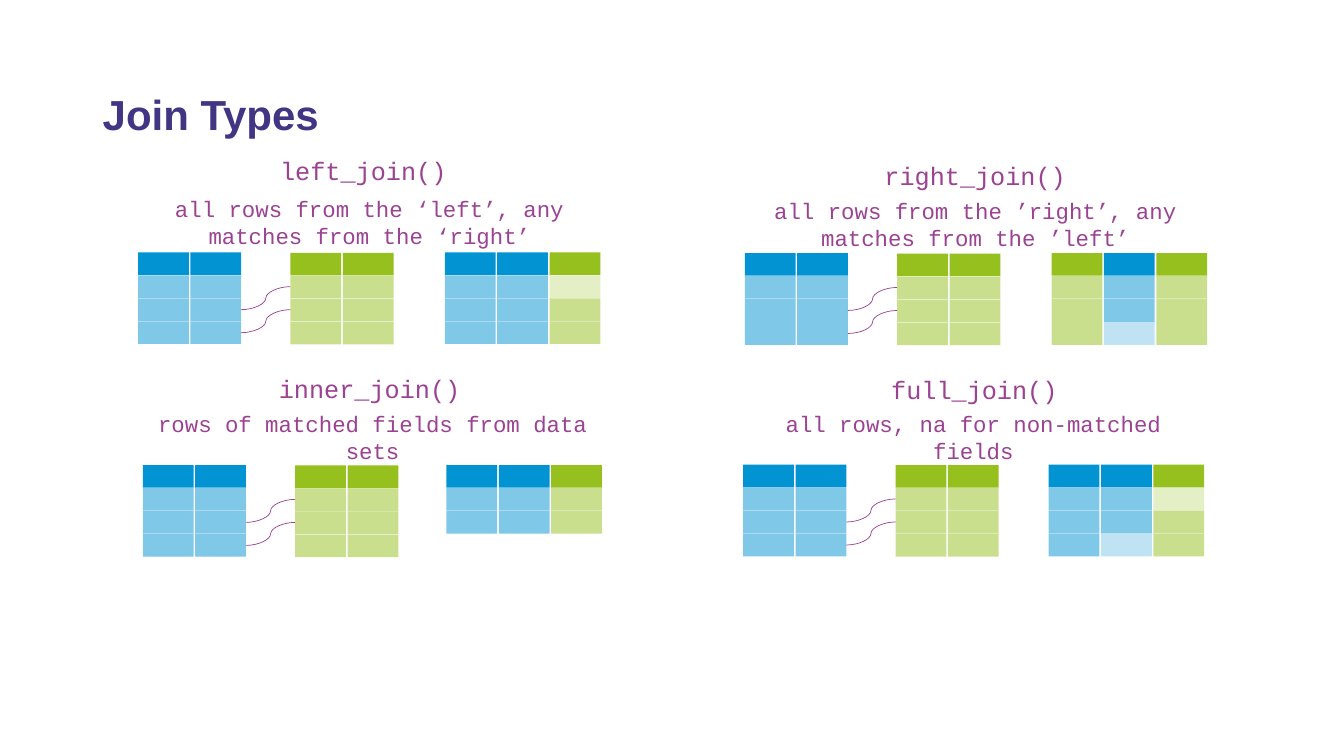
"""Builds a slide that compares four kinds of table join."""
import lxml.etree
import pptx
import pptx.dml.color
import pptx.enum.shapes
import pptx.enum.text
import pptx.oxml.ns
import pptx.util

Cm = pptx.util.Cm
Pt = pptx.util.Pt
qn = pptx.oxml.ns.qn
PP_ALIGN = pptx.enum.text.PP_ALIGN

PURPLE = pptx.dml.color.RGBColor(0x42, 0x35, 0x83)
PLUM = pptx.dml.color.RGBColor(0x9B, 0x43, 0x92)
BLUE = pptx.dml.color.RGBColor(0x02, 0x93, 0xD3)
GREEN = pptx.dml.color.RGBColor(0x95, 0xC0, 0x1D)

CELL_WIDTH, CELL_HEIGHT = 1.28, 0.57
COLUMN_STEP, ROW_STEP = 1.32, 0.58
RIGHT_TABLE_OFFSET = 3.84

MATCHED = (100, 50, 50, 50)
FIRST_MISSING = (100, 25, 50, 50)
LAST_MISSING = (100, 50, 50, 25)
INNER = (100, 50, 50)

TITLE_FORMAT = {"size": Pt(30), "name": "Arial", "bold": True}
FUNCTION_FORMAT = {"size": Pt(18), "name": "Courier New"}
DESCRIPTION_FORMAT = {"size": Pt(16), "name": "Courier New"}
FRAME_FORMAT = {
    "word_wrap": True,
    "vertical_anchor": pptx.enum.text.MSO_ANCHOR.MIDDLE,
}

JOINS = [
    {
        "function": "left_join()",
        "function_at": (6.27, 3.78),
        "description": "all rows from the ‘left’, any matches from the ‘right’",
        "description_at": (3.53, 4.78),
        "tables_at": (3.48, 6.36),
        "result_offset": 7.73,
        "result": [(BLUE, MATCHED), (BLUE, MATCHED), (GREEN, FIRST_MISSING)],
    },
    {
        "function": "right_join()",
        "function_at": (21.69, 3.91),
        "description": "all rows from the ’right’, any matches from the ’left’",
        "description_at": (18.8, 4.83),
        "tables_at": (18.77, 6.38),
        "result_offset": 7.73,
        "result": [(GREEN, MATCHED), (BLUE, LAST_MISSING), (GREEN, MATCHED)],
    },
    {
        "function": "inner_join()",
        "function_at": (6.43, 9.27),
        "description": "rows of matched fields from data sets",
        "description_at": (3.61, 10.19),
        "tables_at": (3.6, 11.72),
        "result_offset": 7.65,
        "result": [(BLUE, INNER), (BLUE, INNER), (GREEN, INNER)],
    },
    {
        "function": "full_join()",
        "function_at": (21.67, 9.3),
        "description": "all rows, na for non-matched fields",
        "description_at": (18.75, 10.19),
        "tables_at": (18.73, 11.71),
        "result_offset": 7.7,
        "result": [(BLUE, MATCHED), (BLUE, LAST_MISSING), (GREEN, FIRST_MISSING)],
    },
]


def apply_format(target, values):
    """Set each named attribute of the target."""
    for attribute, value in values.items():
        setattr(target, attribute, value)


def add_label(shapes, text, position, size, font_format, color, alignment):
    """Add one wrapped paragraph of text."""
    label = shapes.add_textbox(*map(Cm, position), *map(Cm, size))
    apply_format(label.text_frame, FRAME_FORMAT)
    paragraph = label.text_frame.paragraphs[0]
    paragraph.alignment = alignment
    run = paragraph.add_run()
    run.text = text
    apply_format(run.font, font_format)
    run.font.color.rgb = color


def add_cell(shapes, left, top, color, opacity):
    """Add one table cell with the given opacity in percent."""
    cell = shapes.add_shape(
        pptx.enum.shapes.MSO_SHAPE.RECTANGLE,
        Cm(left), Cm(top), Cm(CELL_WIDTH), Cm(CELL_HEIGHT),
    )
    cell.shadow.inherit = False
    cell.line.fill.background()
    cell.fill.solid()
    cell.fill.fore_color.rgb = color
    if opacity < 100:
        tint = cell.fill._xPr.find(".//" + qn("a:srgbClr"))
        lxml.etree.SubElement(tint, qn("a:alpha")).set("val", str(opacity * 1000))


def add_grid(shapes, left, top, columns):
    """Add a table of cells from (color, opacities) columns."""
    for column, (color, opacities) in enumerate(columns):
        for row, opacity in enumerate(opacities):
            add_cell(shapes, left + column * COLUMN_STEP,
                     top + row * ROW_STEP, color, opacity)


def add_match(shapes, left, top, row):
    """Link a row of the left table to the row above it in the right one."""
    start_y = top + row * ROW_STEP + CELL_HEIGHT / 2
    match = shapes.add_connector(
        pptx.enum.shapes.MSO_CONNECTOR.CURVE,
        Cm(left + COLUMN_STEP + CELL_WIDTH), Cm(start_y),
        Cm(left + RIGHT_TABLE_OFFSET), Cm(start_y - ROW_STEP),
    )
    match.line.color.rgb = PLUM
    match.line.width = Pt(0.5)
    lxml.etree.SubElement(match._element.spPr, qn("a:effectLst"))


def add_join(slide, join):
    """Add one join: both tables, their matches, the result and its labels."""
    shapes = slide.shapes.add_group_shape().shapes
    left, top = join["tables_at"]
    add_grid(shapes, left, top, [(BLUE, MATCHED)] * 2)
    add_grid(shapes, left + RIGHT_TABLE_OFFSET, top + 0.01, [(GREEN, MATCHED)] * 2)
    for row in (2, 3):
        add_match(shapes, left, top, row)
    add_grid(shapes, left + join["result_offset"], top, join["result"])
    add_label(shapes, join["function"], join["function_at"], (5.77, 1.02),
              FUNCTION_FORMAT, PLUM, PP_ALIGN.CENTER)
    add_label(shapes, join["description"], join["description_at"], (11.56, 1.63),
              DESCRIPTION_FORMAT, PLUM, PP_ALIGN.CENTER)


def main():
    """Build and save the slide."""
    presentation = pptx.Presentation()
    apply_format(presentation, {"slide_width": Cm(33.87), "slide_height": Cm(19.05)})
    slide = presentation.slides.add_slide(presentation.slide_layouts[6])
    add_label(slide.shapes, "Join Types", (2.34, 1.02), (29.21, 3.68),
              TITLE_FORMAT, PURPLE, PP_ALIGN.LEFT)
    for join in JOINS:
        add_join(slide, join)
    presentation.save("out.pptx")


if __name__ == "__main__":
    main()
